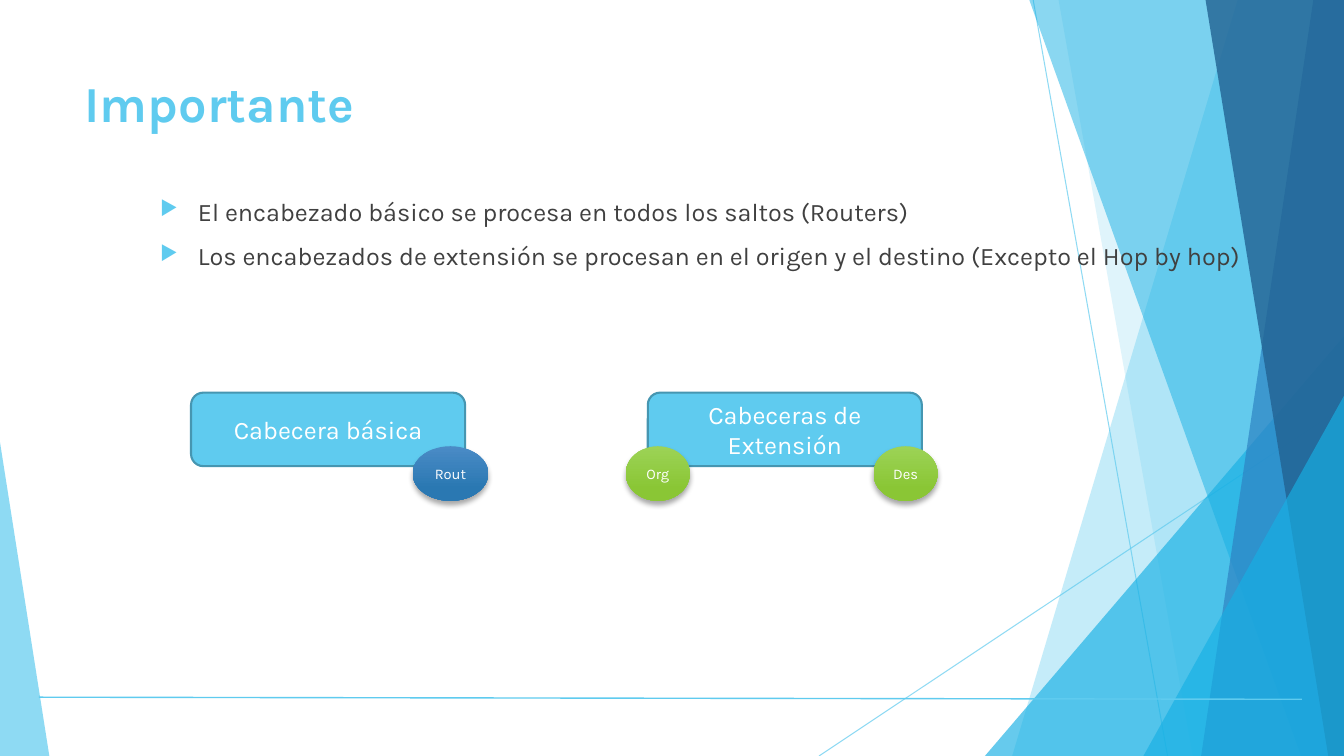
from dataclasses import dataclass

from lxml.etree import SubElement
from pptx import Presentation
from pptx.dml.color import RGBColor as RGB
from pptx.enum.shapes import MSO_CONNECTOR as Link, MSO_SHAPE as Kind
from pptx.enum.text import MSO_ANCHOR as Anchor, PP_ALIGN as Align
from pptx.oxml.ns import qn
from pptx.util import Pt

PX = 9525
WIDE, HIGH = 1280, 720
FONT = "Karla"
HEX = {
    "sky": "5FCBEF", "cyan": "17B0E4", "blue": "2E83C3", "navy": "226292",
    "edge": "4696B1", "ink": "404040", "white": "FFFFFF",
    "lime": "9CD356", "leaf": "8AC635", "azure": "4A8BC6", "steel": "2A78B2",
}


@dataclass
class Ray:
    x1: int
    y1: int
    x2: int
    y2: int
    width: float
    alpha: int


@dataclass
class Band:
    top: int
    base: int
    color: str
    alpha: int


@dataclass
class Wedge:
    x: int
    y: int
    width: int
    tip: int
    color: str
    alpha: int


@dataclass
class Box:
    x: int
    text: str


@dataclass
class Badge:
    x: int
    width: int
    text: str
    light: str
    dark: str


RAYS = [Ray(984, 0, 1112, 720, 0.75, 70), Ray(1280, 387, 780, 720, 0.75, 70)]
DECOR = [
    Band(1179, 964, "sky", 36),
    Band(1008, 1136, "sky", 20),
    Wedge(938, 320, 342, 1, "cyan", 66),
    Band(980, 1239, "cyan", 50),
    Band(1251, 1144, "blue", 70),
    Band(1148, 1265, "navy", 80),
    Wedge(1089, 377, 191, 1, "cyan", 66),
    Wedge(0, 421, 47, 0, "sky", 70),
]
RULE = Ray(37, 664, 1240, 666, 1, 100)
POINTS = [
    "El encabezado básico se procesa en todos los saltos (Routers)",
    "Los encabezados de extensión se procesan en el origen y el destino (Excepto el Hop by hop)",
]
BOXES = [Box(182, "Cabecera básica"), Box(617, "Cabeceras de Extensión")]
BADGES = [
    Badge(596, 61, "Org", "lime", "leaf"),
    Badge(832, 61, "Des", "lime", "leaf"),
    Badge(393, 72, "Rout", "azure", "steel"),
]


def emu(*nums: int) -> list[int]:
    return [num * PX for num in nums]


def tint(name: str) -> RGB:
    return RGB.from_string(HEX[name])


def fade(shape, alpha: int) -> None:
    if alpha < 100:
        for clr in shape.element.spPr.iter(qn("a:srgbClr")):
            SubElement(clr, qn("a:alpha"), val=str(alpha * 1000))


def paint(shape, color: str, alpha: int = 100) -> None:
    shape.shadow.inherit = False
    shape.fill.solid()
    shape.fill.fore_color.rgb = tint(color)
    shape.line.fill.background()
    fade(shape, alpha)


def style(para, size: float, color: str, bold: bool = False) -> None:
    for run in para.runs:
        run.font.name = FONT
        run.font.size = Pt(size)
        run.font.bold = bold
        run.font.color.rgb = tint(color)


def label(shape, text: str, size: float, wrap: bool) -> None:
    frame = shape.text_frame
    frame.word_wrap = wrap
    frame.vertical_anchor = Anchor.MIDDLE
    frame.text = text
    para = frame.paragraphs[0]
    para.alignment = Align.CENTER
    style(para, size, "white")


def draw_ray(shapes, ray: Ray) -> None:
    line = shapes.add_connector(Link.STRAIGHT, *emu(ray.x1, ray.y1, ray.x2, ray.y2))
    line.line.color.rgb = tint("sky")
    line.line.width = Pt(ray.width)
    fade(line, ray.alpha)
    SubElement(line.element.spPr, qn("a:effectLst"))


def draw_band(shapes, band: Band) -> None:
    pen = shapes.build_freeform(band.top, -1, scale=PX)
    pen.add_line_segments([(WIDE, -1), (WIDE, HIGH), (band.base, HIGH)], close=True)
    paint(pen.convert_to_shape(), band.color, band.alpha)


def draw_wedge(shapes, wedge: Wedge) -> None:
    size = emu(wedge.x, wedge.y, wedge.width, HIGH - wedge.y)
    shape = shapes.add_shape(Kind.ISOSCELES_TRIANGLE, *size)
    shape.adjustments[0] = wedge.tip
    paint(shape, wedge.color, wedge.alpha)


def draw_title(shapes) -> None:
    title = shapes.title
    title.left, title.top, title.width, title.height = emu(71, 64, 902, 138)
    frame = title.text_frame
    frame.text = "Importante"
    frame.vertical_anchor = Anchor.TOP
    para = frame.paragraphs[0]
    para.alignment = Align.LEFT
    style(para, 36, "sky", True)
    title.element.getparent().append(title.element)


def draw_list(shapes) -> None:
    frame = shapes.add_textbox(*emu(143, 182, 1052, 126)).text_frame
    frame.word_wrap = True
    frame.text = "\n".join(POINTS)
    for para in frame.paragraphs:
        para.space_before = Pt(10)
        style(para, 18, "ink")
        props = para.runs[0].font and para._p.get_or_add_pPr()
        props.set("marL", str(36 * PX))
        props.set("indent", str(-36 * PX))
        clr = SubElement(props, qn("a:buClr"))
        SubElement(clr, qn("a:srgbClr"), val=HEX["sky"])
        SubElement(props, qn("a:buSzPct"), val="80000")
        SubElement(props, qn("a:buChar"), char="▶")


def draw_box(shapes, box: Box) -> None:
    shape = shapes.add_shape(Kind.ROUNDED_RECTANGLE, *emu(box.x, 374, 261, 70))
    paint(shape, "sky")
    shape.line.color.rgb = tint("edge")
    shape.line.width = Pt(1.5)
    label(shape, box.text, 18, True)


def draw_badge(shapes, badge: Badge) -> None:
    shape = shapes.add_shape(Kind.OVAL, *emu(badge.x, 425, badge.width, 52))
    paint(shape, badge.light)
    shape.fill.gradient()
    shape.fill.gradient_angle = 270
    looks = [(0, badge.light), (0.78, badge.dark)]
    for stop, (place, color) in zip(shape.fill.gradient_stops, looks):
        stop.position = place
        stop.color.rgb = tint(color)
    glow = SubElement(
        shape.element.spPr.find(qn("a:effectLst")), qn("a:outerShdw"),
        blurRad=str(Pt(4)), dist=str(Pt(3)), dir="5400000", rotWithShape="0",
    )
    clr = SubElement(glow, qn("a:srgbClr"), val="000000")
    SubElement(clr, qn("a:alpha"), val="35000")
    label(shape, badge.text, 10.5, False)


def main() -> None:
    deck = Presentation()
    deck.slide_width, deck.slide_height = emu(WIDE, HIGH)
    shapes = deck.slides.add_slide(deck.slide_layouts[5]).shapes
    for ray in RAYS:
        draw_ray(shapes, ray)
    for part in DECOR:
        if isinstance(part, Band):
            draw_band(shapes, part)
        else:
            draw_wedge(shapes, part)
    draw_title(shapes)
    draw_ray(shapes, RULE)
    draw_list(shapes)
    for box in BOXES:
        draw_box(shapes, box)
    for badge in BADGES:
        draw_badge(shapes, badge)
    deck.save("out.pptx")


if __name__ == "__main__":
    main()
